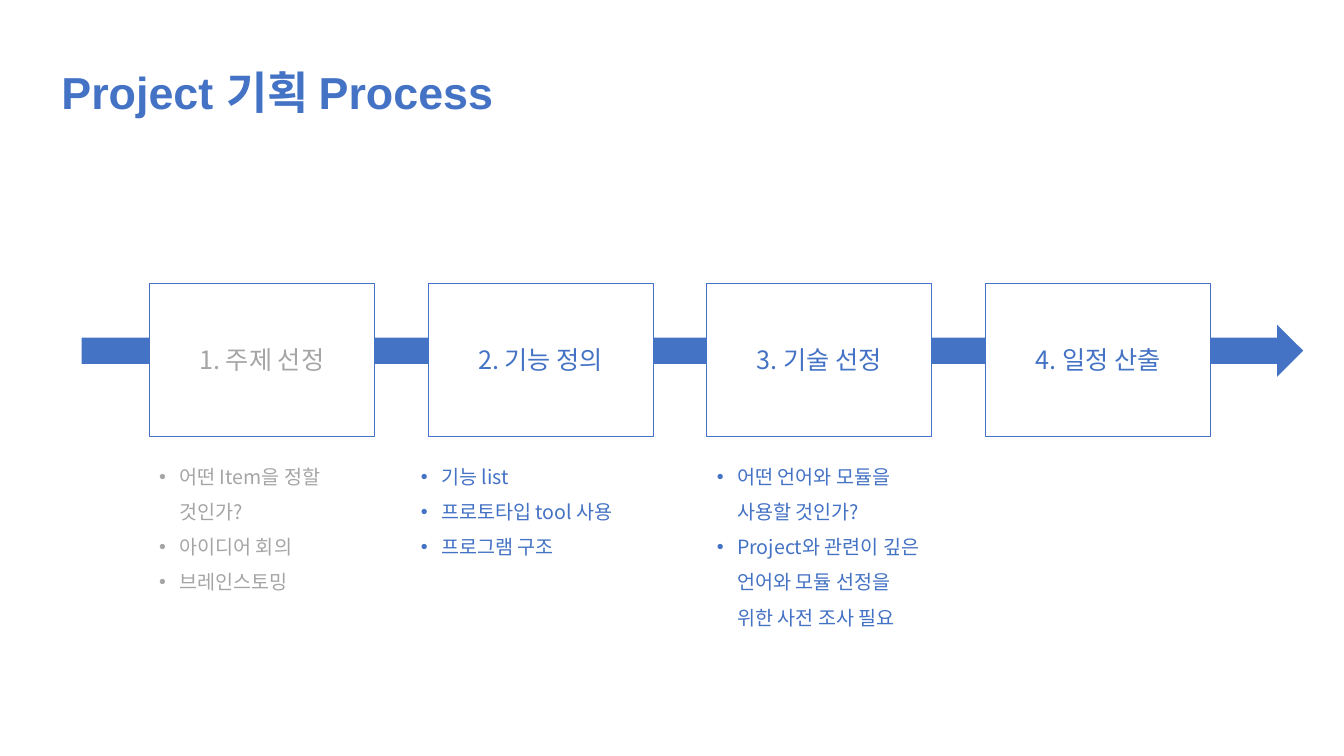
import lxml.etree
import pptx
import pptx.dml.color
import pptx.enum.shapes
import pptx.enum.text
import pptx.oxml.ns
import pptx.util

Pt = pptx.util.Pt
SHAPES = pptx.enum.shapes.MSO_SHAPE
ALIGN = pptx.enum.text.PP_ALIGN
ANCHOR = pptx.enum.text.MSO_ANCHOR
FIT = pptx.enum.text.MSO_AUTO_SIZE
BLUE, GREY, WHITE = "4472C4", "A5A5A5", "FFFFFF"
HANGUL_FONT = "Noto Sans CJK KR"

STEPS = [
    ("1. 주제 선정", GREY, 0,
     ["어떤 Item을 정할 것인가?", "아이디어 회의", "브레인스토밍"]),
    ("2. 기능 정의", BLUE, -12.25,
     ["기능 list", "프로토타입 tool 사용", "프로그램 구조"]),
    ("3. 기술 선정", BLUE, 0,
     ["어떤 언어와 모듈을 사용할 것인가?",
      "Project와 관련이 깊은 언어와 모듈 선정을 위한 사전 조사 필요"]),
    ("4. 일정 산출", BLUE, 0, []),
]


def rgb(color):
    """Return the colour for a hex string."""
    return pptx.dml.color.RGBColor.from_string(color)


def add_element(parent, tag, **attributes):
    """Append a drawing element to its parent."""
    return lxml.etree.SubElement(parent, pptx.oxml.ns.qn(tag), **attributes)


def style(paragraph, size, color, font=HANGUL_FONT, bold=False):
    """Set the font of a paragraph for Latin and Korean text."""
    paragraph.font.size = Pt(size)
    paragraph.font.bold = bold
    paragraph.font.color.rgb = rgb(color)
    paragraph.font.name = font
    defaults = paragraph._p.pPr.find(pptx.oxml.ns.qn("a:defRPr"))
    add_element(defaults, "a:ea", typeface=HANGUL_FONT)


def add_bullet(paragraph, color):
    """Give a paragraph a hanging bullet."""
    properties = paragraph._p.get_or_add_pPr()
    properties.set("marL", str(Pt(14.4)))
    properties.set("indent", str(-Pt(14.4)))
    add_element(add_element(properties, "a:buClr"), "a:srgbClr", val=color)
    add_element(properties, "a:buFont", typeface="Arial")
    add_element(properties, "a:buChar", char="•")


def add_block(slide, kind, fill, left, top, width, height):
    """Draw a flat shape without an outline."""
    block = slide.shapes.add_shape(kind, Pt(left), Pt(top), Pt(width), Pt(height))
    block.shadow.inherit = False
    block.fill.solid()
    block.fill.fore_color.rgb = rgb(fill)
    block.line.fill.background()
    return block


def add_heading(slide, left, top, width, height):
    """Place and format the slide title."""
    heading = slide.shapes.title
    heading.left, heading.top = Pt(left), Pt(top)
    heading.width, heading.height = Pt(width), Pt(height)
    frame = heading.text_frame
    frame.text = "Project 기획 Process"
    frame.word_wrap = True
    frame.auto_size = FIT.NONE
    frame.vertical_anchor = ANCHOR.TOP
    frame.paragraphs[0].alignment = ALIGN.LEFT
    style(frame.paragraphs[0], 32, BLUE, "Arial", True)


def add_step(slide, label, color, left, top, width, height):
    """Draw the outlined box of one step."""
    step = add_block(slide, SHAPES.RECTANGLE, WHITE, left, top, width, height)
    step.line.color.rgb = rgb(BLUE)
    step.line.width = Pt(0.75)
    frame = step.text_frame
    frame.text = label
    frame.word_wrap = True
    frame.vertical_anchor = ANCHOR.MIDDLE
    frame.paragraphs[0].alignment = ALIGN.CENTER
    style(frame.paragraphs[0], 18, color)


def add_notes(slide, notes, color, left, top, width, height):
    """List the notes of one step."""
    box = slide.shapes.add_textbox(Pt(left), Pt(top), Pt(width), Pt(height))
    frame = box.text_frame
    frame.text = "\n".join(notes)
    frame.word_wrap = True
    frame.auto_size = FIT.SHAPE_TO_FIT_TEXT
    for paragraph in frame.paragraphs:
        add_bullet(paragraph, color)
        paragraph.line_spacing = 1.5
        style(paragraph, 14, color)


def add_process(slide, left, top, width, height):
    """Draw the arrow with its steps and their notes."""
    arrow_height, step_width, pitch = 37.4, 160.7, 199.2
    add_block(slide, SHAPES.RIGHT_ARROW, BLUE, left,
              top + (height - arrow_height) / 2 - 6.5, width, arrow_height)
    for index, (label, color, shift, notes) in enumerate(STEPS):
        step_left = left + 48.3 + index * pitch
        add_step(slide, label, color, step_left, top, step_width, height)
        if notes:
            notes_height = 157 if index == 2 else 106
            add_notes(slide, notes, color, step_left + shift,
                      top + height + 8, step_width, notes_height)


def main():
    """Build and save the presentation."""
    presentation = pptx.Presentation()
    presentation.slide_width, presentation.slide_height = Pt(960), Pt(540)
    slide = presentation.slides.add_slide(presentation.slide_layouts[5])
    add_heading(slide, 36.7, 42.5, 480, 46)
    add_process(slide, 58.3, 202.3, 872.6, 109.5)
    presentation.save("out.pptx")


if __name__ == "__main__":
    main()
